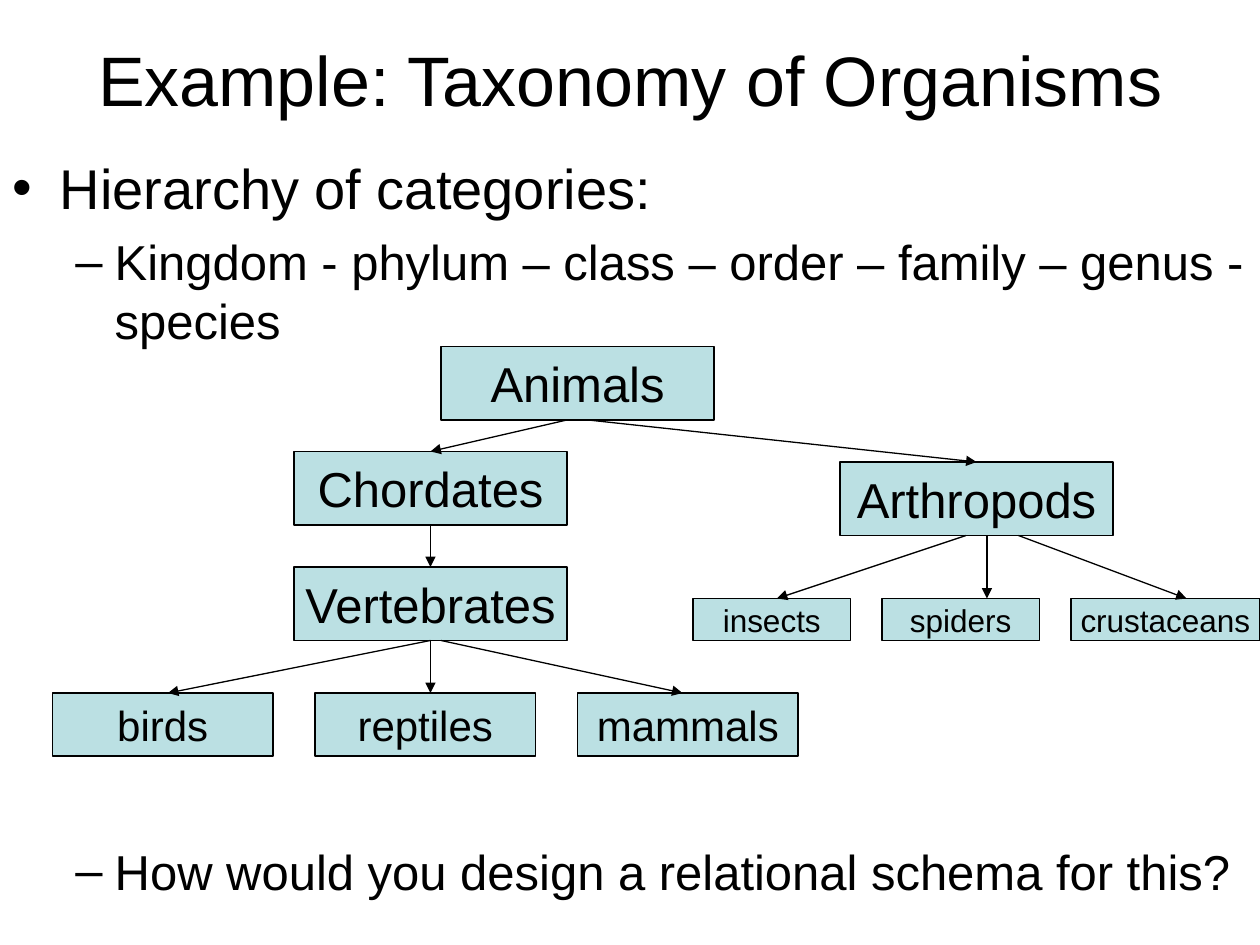
import lxml.etree
import pptx
import pptx.dml.color
import pptx.enum.shapes
import pptx.enum.text
import pptx.oxml.ns
import pptx.util

Pt = pptx.util.Pt
RGB = pptx.dml.color.RGBColor
ALIGN = pptx.enum.text.PP_ALIGN
ANCHOR = pptx.enum.text.MSO_ANCHOR
qn = pptx.oxml.ns.qn


class Theme:
    font = "Arial"
    ink = RGB(0, 0, 0)
    box = RGB(0xBB, 0xE0, 0xE3)
    line = Pt(0.75)
    title, bullet, dash = 40, 32, 28
    group, vertebrate, arthropod = 28, 24, 18


def write(p, text, size, align=ALIGN.LEFT, before=0):
    p.alignment = align
    p.space_before = Pt(before)
    r = p.add_run()
    r.text = text
    r.font.name = Theme.font
    r.font.size = Pt(size)
    r.font.color.rgb = Theme.ink


def add_bullet(p, char, margin, hang):
    pPr = p._p.get_or_add_pPr()
    pPr.set("marL", str(Pt(margin)))
    pPr.set("indent", str(-Pt(hang)))
    lxml.etree.SubElement(pPr, qn("a:buFont"), typeface=Theme.font)
    lxml.etree.SubElement(pPr, qn("a:buChar"), char=char)


prs = pptx.Presentation()
prs.slide_width, prs.slide_height = Pt(720), Pt(540)
slide = prs.slides.add_slide(prs.slide_layouts[5])

# Title
title = slide.shapes.title
title.left, title.top, title.width, title.height = Pt(36), Pt(0), Pt(648), Pt(90)
title.text_frame.vertical_anchor = ANCHOR.MIDDLE
write(title.text_frame.paragraphs[0], "Example: Taxonomy of Organisms",
      Theme.title, align=ALIGN.CENTER)

# Bullets; the wide space before the last one leaves room for the tree
body = slide.shapes.add_textbox(Pt(0), Pt(84), Pt(720), Pt(456))
tf = body.text_frame
tf.word_wrap = True
bullets = [
    ("Hierarchy of categories:", Theme.bullet, "•", 27, 27, 0),
    ("Kingdom - phylum – class – order – family – genus - species",
     Theme.dash, "–", 58.5, 22.5, 6.5),
    ("How would you design a relational schema for this?",
     Theme.dash, "–", 58.5, 22.5, 281),
]
for i, (text, size, char, margin, hang, before) in enumerate(bullets):
    p = tf.add_paragraph() if i else tf.paragraphs[0]
    write(p, text, size, before=before)
    add_bullet(p, char, margin, hang)

# Tree boxes: name, left, top, width, height, type size
nodes = [
    ("Animals", 252, 198, 156, 42, Theme.group),
    ("Chordates", 168, 258, 156, 42, Theme.group),
    ("Vertebrates", 168, 324, 156, 42, Theme.group),
    ("Arthropods", 480, 264, 156, 42, Theme.group),
    ("birds", 30, 396, 126, 36, Theme.vertebrate),
    ("reptiles", 180, 396, 126, 36, Theme.vertebrate),
    ("mammals", 330, 396, 126, 36, Theme.vertebrate),
    ("insects", 396, 342, 90, 24, Theme.arthropod),
    ("spiders", 504, 342, 90, 24, Theme.arthropod),
    ("crustaceans", 612, 342, 108, 24, Theme.arthropod),
]
boxes = {}
for name, left, top, width, height, size in nodes:
    sp = slide.shapes.add_shape(pptx.enum.shapes.MSO_SHAPE.RECTANGLE,
                                Pt(left), Pt(top), Pt(width), Pt(height))
    sp.shadow.inherit = False
    sp.fill.solid()
    sp.fill.fore_color.rgb = Theme.box
    sp.line.color.rgb = Theme.ink
    sp.line.width = Theme.line
    sp.text_frame.word_wrap = False
    sp.text_frame.vertical_anchor = ANCHOR.MIDDLE
    write(sp.text_frame.paragraphs[0], name, size, align=ALIGN.CENTER)
    boxes[name] = sp

# Arrows: parent, x on its bottom side, child, x on its top side
arrows = [
    ("Animals", 324, "Chordates", 246),
    ("Animals", 336, "Arthropods", 558),
    ("Chordates", 246, "Vertebrates", 246),
    ("Vertebrates", 246, "birds", 96),
    ("Vertebrates", 246, "reptiles", 246),
    ("Vertebrates", 252, "mammals", 390),
    ("Arthropods", 552, "insects", 444),
    ("Arthropods", 564, "spiders", 564),
    ("Arthropods", 582, "crustaceans", 678),
]
for parent, x1, child, x2 in arrows:
    start, end = boxes[parent], boxes[child]
    line = slide.shapes.add_connector(pptx.enum.shapes.MSO_CONNECTOR.STRAIGHT,
                                      Pt(x1), start.top + start.height,
                                      Pt(x2), end.top)
    if Pt(x1) == start.left + start.width // 2:
        line.begin_connect(start, 2)
    if Pt(x2) == end.left + end.width // 2:
        line.end_connect(end, 0)
    line.line.color.rgb = Theme.ink
    line.line.width = Theme.line
    lxml.etree.SubElement(line.line._get_or_add_ln(), qn("a:tailEnd"), type="triangle")
    lxml.etree.SubElement(line._element.spPr, qn("a:effectLst"))

prs.save("out.pptx")
